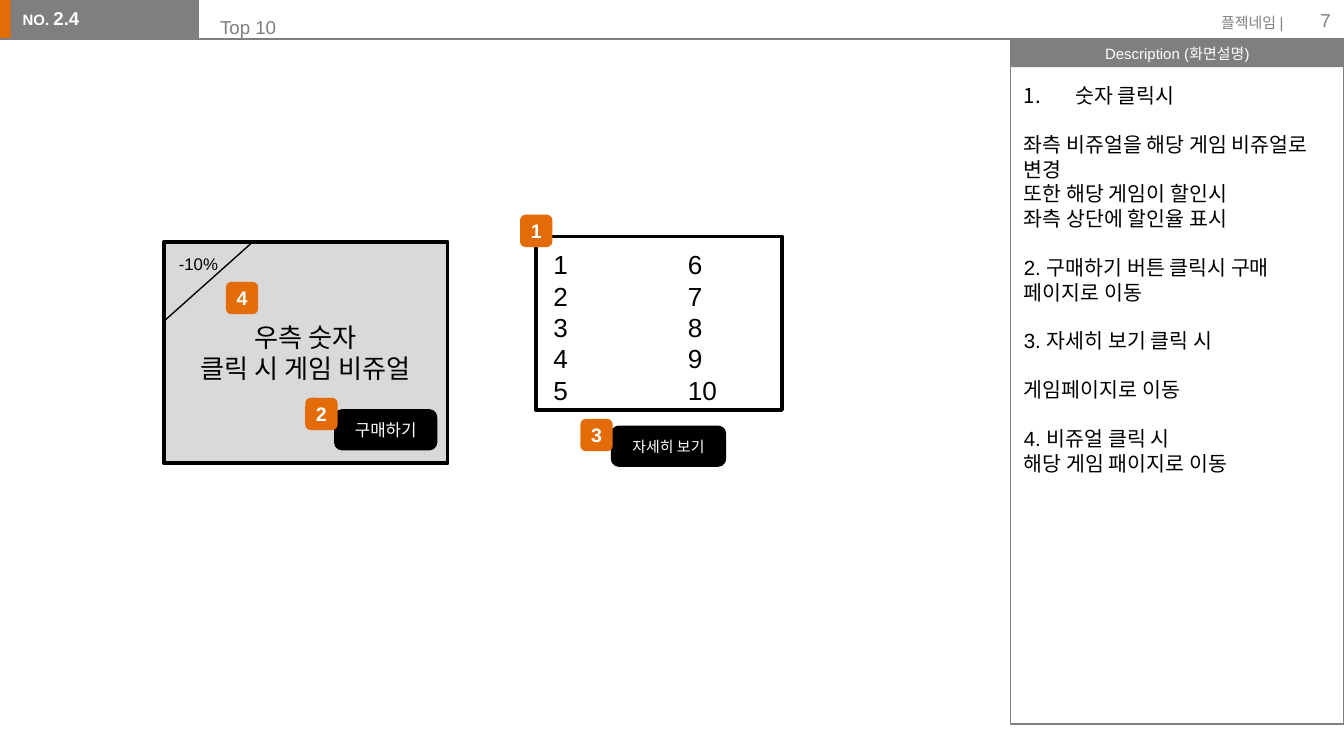
from dataclasses import dataclass
from typing import NamedTuple

from lxml import etree
from pptx import Presentation
from pptx import util as u
from pptx.dml.color import RGBColor
from pptx.enum import shapes, text
from pptx.oxml import ns


@dataclass(frozen=True)
class Theme:
    font: str = "Arial"
    accent: str = "E36C09"
    gray: str = "7F7F7F"
    pale: str = "D9D9D9"
    black: str = "000000"
    white: str = "FFFFFF"
    small: float = 8
    label: float = 9
    heading: float = 10
    badge: float = 10.5
    note: float = 11
    large: float = 14
    thin: float = 0.75
    thick: float = 2


class Area(NamedTuple):
    left: float
    top: float
    width: float
    height: float

    def inside(self, left, top, width, height):
        return Area(self.left + left, self.top + top, width, height)

    def lengths(self):
        return [u.Cm(value) for value in self]


THEME = Theme()
KIND = shapes.MSO_SHAPE
ALIGN = text.PP_ALIGN
ANCHOR = text.MSO_ANCHOR
MARGINS = ("margin_left", "margin_top", "margin_right", "margin_bottom")


def set_values(target, values):
    for name, value in values.items():
        setattr(target, name, value)


def write(box, lines, size, color, bold=False, align=ALIGN.LEFT,
          anchor=ANCHOR.TOP, margins=(0.25, 0.13, 0.25, 0.13), wrap=True):
    frame = box.text_frame
    set_values(frame, {"word_wrap": wrap, "auto_size": text.MSO_AUTO_SIZE.NONE,
                       "vertical_anchor": anchor})
    set_values(frame, dict(zip(MARGINS, map(u.Cm, margins))))
    for index, line in enumerate(lines):
        para = frame.add_paragraph() if index else frame.paragraphs[0]
        set_values(para, {"alignment": align, "space_before": u.Pt(0)})
        span = para.add_run()
        span.text = line
        set_values(span.font, {"name": THEME.font, "size": u.Pt(size), "bold": bold})
        span.font.color.rgb = RGBColor.from_string(color)
    return frame.paragraphs


def indent(para, margin, first, bullet, **values):
    props = para._p.get_or_add_pPr()
    props.set("marL", str(u.Cm(margin)))
    props.set("indent", str(u.Cm(first)))
    etree.SubElement(props, ns.qn(f"a:{bullet}"), values)


def add_block(page, area, kind=KIND.RECTANGLE, fill=None, line=None, weight=THEME.thick):
    box = page.shapes.add_shape(kind, *area.lengths())
    box.shadow.inherit = False
    if fill:
        box.fill.solid()
        box.fill.fore_color.rgb = RGBColor.from_string(fill)
    else:
        box.fill.background()
    if line:
        box.line.color.rgb = RGBColor.from_string(line)
        box.line.width = u.Pt(weight)
    else:
        box.line.fill.background()
    return box


def add_label(page, area, lines, size, color, **options):
    return write(page.shapes.add_textbox(*area.lengths()), lines, size, color, **options)


def add_rule(page, start, end, color):
    ends = [u.Cm(value) for value in (*start, *end)]
    rule = page.shapes.add_connector(shapes.MSO_CONNECTOR.STRAIGHT, *ends)
    rule.line.color.rgb = RGBColor.from_string(color)
    rule.line.width = u.Pt(THEME.thin)
    etree.SubElement(rule._element.spPr, ns.qn("a:effectLst"))


def add_badge(page, area, left, top, number):
    badge = add_block(page, area.inside(left, top, 0.61, 0.61),
                      KIND.ROUNDED_RECTANGLE, THEME.accent)
    write(badge, [number], THEME.badge, THEME.white, bold=True, align=ALIGN.CENTER,
          anchor=ANCHOR.MIDDLE, margins=(0, 0.13, 0, 0.13))


def add_button(page, area, caption, size):
    button = add_block(page, area, KIND.ROUNDED_RECTANGLE, THEME.black, THEME.black)
    write(button, [caption], size, THEME.white, align=ALIGN.CENTER, anchor=ANCHOR.MIDDLE)


def place(box, area, caption, color, bold=False):
    set_values(box, dict(zip(("left", "top", "width", "height"), area.lengths())))
    box.element.getparent().append(box.element)
    return write(box, [caption], THEME.heading, color, bold=bold, margins=(0.25,) * 4)[0]


def add_header(page, area):
    add_block(page, area.inside(-0.03, 0, 0.3, area.height), fill=THEME.accent)
    add_block(page, area.inside(0.2, 0, 3.56, area.height), fill=THEME.gray)
    add_label(page, area.inside(0.18, 0.08, 1.04, 0.61), ["NO."],
              THEME.small, THEME.white, bold=True, wrap=False)
    bottom = area.top + area.height
    add_rule(page, (area.left, bottom), (area.left + 19.46, bottom), THEME.gray)
    add_label(page, area.inside(22.68, 0.13, 1.83, 0.61), ["플젝네임 |"],
              THEME.small, THEME.gray, align=ALIGN.RIGHT, wrap=False)
    add_label(page, area.inside(23.88, 0, 1.52, 0.76), ["7"], THEME.heading,
              THEME.gray, align=ALIGN.RIGHT, anchor=ANCHOR.MIDDLE)
    title, body = page.placeholders
    place(title, area.inside(3.91, 0.05, 14.25, 0.81), "Top 10", THEME.gray)
    number = place(body, area.inside(0.13, -0.13, 2.79, 0.79), "2.4", THEME.white, True)
    indent(number, 1.27, -0.64, "buNone")


def add_visual(page, area):
    card = add_block(page, area, fill=THEME.pale, line=THEME.black)
    write(card, ["우측 숫자", "클릭 시 게임 비쥬얼"], THEME.large, THEME.black,
          align=ALIGN.CENTER, anchor=ANCHOR.MIDDLE)
    add_rule(page, (area.left + 1.68, area.top), (area.left, area.top + 1.5), THEME.black)
    add_label(page, area.inside(0.03, 0.1, 1.4, 0.64), ["-10%"], THEME.label, THEME.black)
    add_button(page, area.inside(3.25, 3.2, 1.88, 0.71), "구매하기", THEME.label)
    add_badge(page, area, 2.67, 2.95, "2")
    add_badge(page, area, 1.17, 0.76, "4")


def add_ranking(page, area):
    add_block(page, area, line=THEME.black)
    rows = [f"{rank}\t{rank + 5}" for rank in range(1, 6)]
    for para in add_label(page, area.inside(0.08, 0.1, 4.5, 3.02), rows,
                          THEME.large, THEME.black):
        tabs = etree.SubElement(para._p.get_or_add_pPr(), ns.qn("a:tabLst"))
        etree.SubElement(tabs, ns.qn("a:tab"), pos=str(u.Cm(2.54)), algn="l")
    add_button(page, area.inside(1.45, 3.61, 2.11, 0.71), "자세히 보기", THEME.small)
    add_badge(page, area, -0.3, -0.41, "1")
    add_badge(page, area, 0.84, 3.45, "3")


def add_description(page, area):
    bar = add_block(page, area.inside(0, 0, area.width, 0.53), fill=THEME.gray)
    write(bar, ["Description (화면설명)"], THEME.small, THEME.white,
          align=ALIGN.CENTER, anchor=ANCHOR.MIDDLE)
    add_block(page, area, line=THEME.gray, weight=THEME.thin)
    groups = [
        ["숫자 클릭시"],
        ["좌측 비쥬얼을 해당 게임 비쥬얼로 변경", "또한 해당 게임이 할인시", "좌측 상단에 할인율 표시"],
        ["2. 구매하기 버튼 클릭시 구매 페이지로 이동"],
        ["3. 자세히 보기 클릭 시"],
        ["게임페이지로 이동"],
        ["4. 비쥬얼 클릭 시", "해당 게임 패이지로 이동"],
    ]
    paras = add_label(page, area.inside(0, 0.7, area.width, 7.77), sum(groups, []),
                      THEME.note, THEME.black)
    indent(paras[0], 0.97, -0.97, "buAutoNum", type="arabicPeriod")
    start = 0
    for group in groups[:-1]:
        start += len(group)
        paras[start].space_before = u.Pt(13)


def main():
    deck = Presentation()
    set_values(deck, {"slide_width": u.Cm(25.4), "slide_height": u.Cm(14.29)})
    page = deck.slides.add_slide(deck.slide_layouts[1])
    add_header(page, Area(0, 0, 25.4, 0.74))
    add_visual(page, Area(3.1, 4.57, 5.36, 4.19))
    add_ranking(page, Area(10.13, 4.47, 4.65, 3.28))
    add_description(page, Area(19.1, 0.74, 6.3, 12.95))
    deck.save("out.pptx")


if __name__ == "__main__":
    main()
